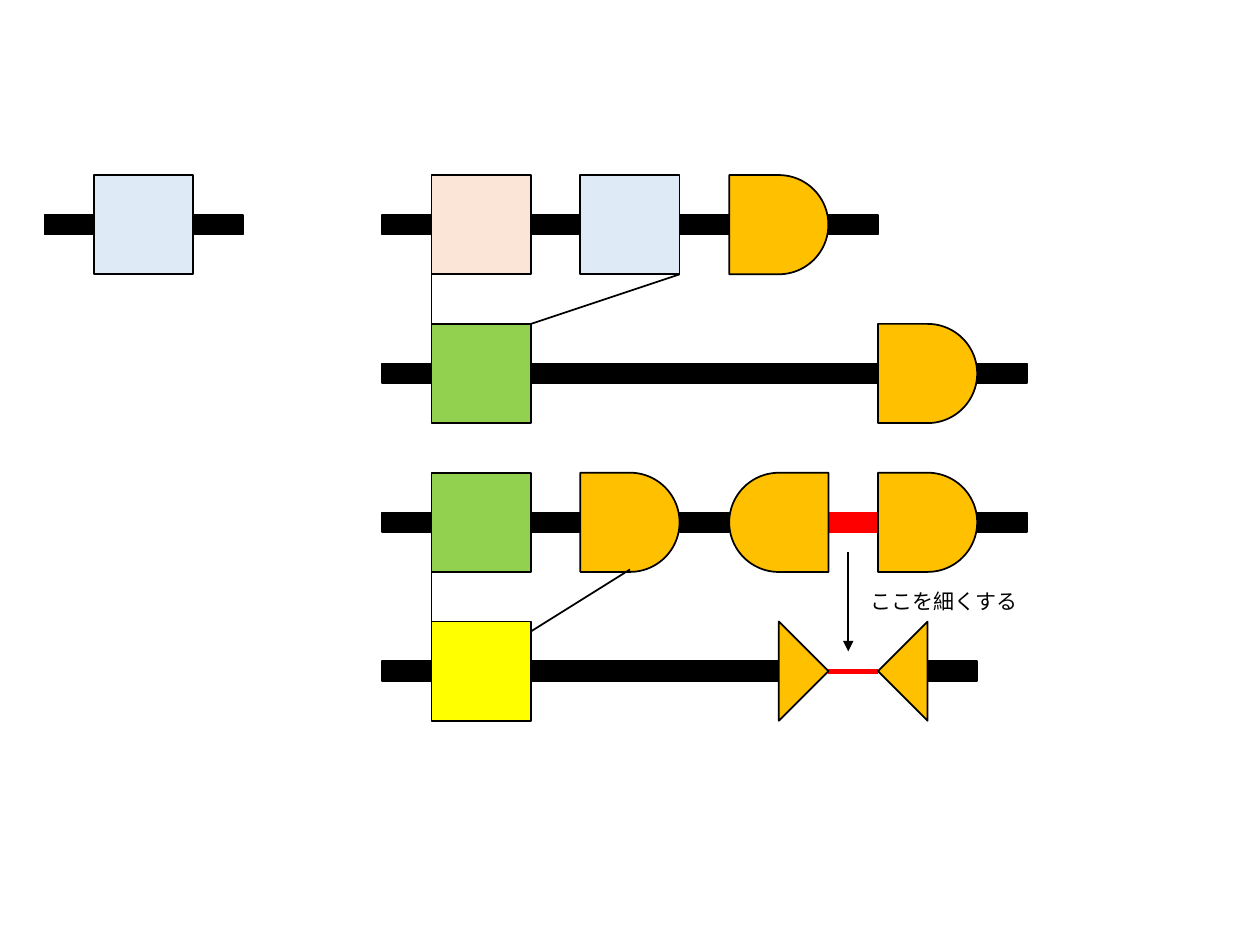
from lxml import etree
from pptx import Presentation
from pptx.dml.color import RGBColor
from pptx.enum.shapes import MSO_CONNECTOR, MSO_SHAPE
from pptx.enum.text import MSO_AUTO_SIZE
from pptx.oxml.ns import qn
from pptx.util import Pt

PX = 3600  # EMU per px, 100 px to the centimetre
BLACK = RGBColor(0x00, 0x00, 0x00)
RED = RGBColor(0xFF, 0x00, 0x00)
BLUE = RGBColor(0xDE, 0xEB, 0xF7)
PEACH = RGBColor(0xFB, 0xE5, 0xD6)
GREEN = RGBColor(0x92, 0xD0, 0x50)
YELLOW = RGBColor(0xFF, 0xFF, 0x00)
ORANGE = RGBColor(0xFF, 0xC0, 0x00)
RECT = MSO_SHAPE.RECTANGLE
DELAY = MSO_SHAPE.FLOWCHART_DELAY
TRIANGLE = MSO_SHAPE.ISOSCELES_TRIANGLE
STRAIGHT = MSO_CONNECTOR.STRAIGHT

BLOCK = 200
GAP = 100
BAR = 40
ROW1, ROW2, ROW3, ROW4 = [353 + 300 * row for row in range(4)]

prs = Presentation()
prs.slide_width = 2540 * PX
prs.slide_height = 1905 * PX
slide = prs.slides.add_slide(prs.slide_layouts[6])


def add_part(kind, x, y, w, h, fill, line=BLACK, rotation=0):
    part = slide.shapes.add_shape(kind, x * PX, y * PX, w * PX, h * PX)
    part.shadow.inherit = False
    part.fill.solid()
    part.fill.fore_color.rgb = fill
    part.line.color.rgb = line
    part.line.width = Pt(1)
    part.rotation = rotation


def add_link(x1, y1, x2, y2, color=BLACK, width=1):
    link = slide.shapes.add_connector(STRAIGHT, x1 * PX, y1 * PX, x2 * PX, y2 * PX)
    link.line.color.rgb = color
    link.line.width = Pt(width)
    etree.SubElement(link._element.spPr, qn("a:effectLst"))
    return link


# Backbone segments: row top, left, width, colour
segments = [
    (ROW1, 90, GAP, BLACK), (ROW1, 390, GAP, BLACK),
    (ROW1, 770, GAP, BLACK), (ROW1, 1070, GAP, BLACK),
    (ROW1, 1370, GAP, BLACK), (ROW1, 1670, GAP, BLACK),
    (ROW2, 770, GAP, BLACK), (ROW2, 1070, 700, BLACK), (ROW2, 1970, GAP, BLACK),
    (ROW3, 770, GAP, BLACK), (ROW3, 1070, GAP, BLACK), (ROW3, 1370, GAP, BLACK),
    (ROW3, 1670, GAP, RED), (ROW3, 1970, GAP, BLACK),
    (ROW4, 770, GAP, BLACK), (ROW4, 1070, 500, BLACK), (ROW4, 1870, GAP, BLACK),
]
for top, left, width, color in segments:
    add_part(RECT, left, top + (BLOCK - BAR) // 2, width, BAR, color, color)

# Blocks on the backbones: row top, left, shape, colour, rotation
blocks = [
    (ROW1, 190, RECT, BLUE, 0),
    (ROW1, 870, RECT, PEACH, 0), (ROW1, 1170, RECT, BLUE, 0),
    (ROW1, 1470, DELAY, ORANGE, 0),
    (ROW2, 870, RECT, GREEN, 0), (ROW2, 1770, DELAY, ORANGE, 0),
    (ROW3, 870, RECT, GREEN, 0), (ROW3, 1170, DELAY, ORANGE, 0),
    (ROW3, 1470, DELAY, ORANGE, 180), (ROW3, 1770, DELAY, ORANGE, 0),
    (ROW4, 870, RECT, YELLOW, 0),
]
for top, left, kind, color, rotation in blocks:
    add_part(kind, left, top, BLOCK, BLOCK, color, rotation=rotation)

# Facing triangles joined by a thin red neck
middle = ROW4 + BLOCK // 2
add_link(1770, middle, 1670, middle, RED, 3)
for left, rotation in [(1520, 90), (1720, 270)]:
    add_part(TRIANGLE, left, ROW4 + 50, BLOCK, BLOCK // 2, ORANGE, rotation=rotation)

# Lines showing which blocks merge into the row below
add_link(870, ROW1 + BLOCK, 870, ROW2 + 20)
add_link(1370, ROW1 + BLOCK, 1070, ROW2)
add_link(870, ROW3 + BLOCK, 870, ROW4 + 20)
add_link(1270, ROW3 + BLOCK - 5, 1070, ROW4 + 20)

# Arrow and note about the neck
arrow = add_link(1710, ROW3 + 160, 1710, ROW4 + 60)
etree.SubElement(arrow.line._get_or_add_ln(), qn("a:tailEnd"), type="triangle")

note = slide.shapes.add_textbox(1730 * PX, 1173 * PX, 350 * PX, 77 * PX).text_frame
note.word_wrap = False
note.auto_size = MSO_AUTO_SIZE.SHAPE_TO_FIT_TEXT
note_run = note.paragraphs[0].add_run()
note_run.text = "ここを細くする"
note_run.font.name = "Calibri"
note_run.font.size = Pt(12)
note_run.font.color.rgb = BLACK

prs.save("out.pptx")
